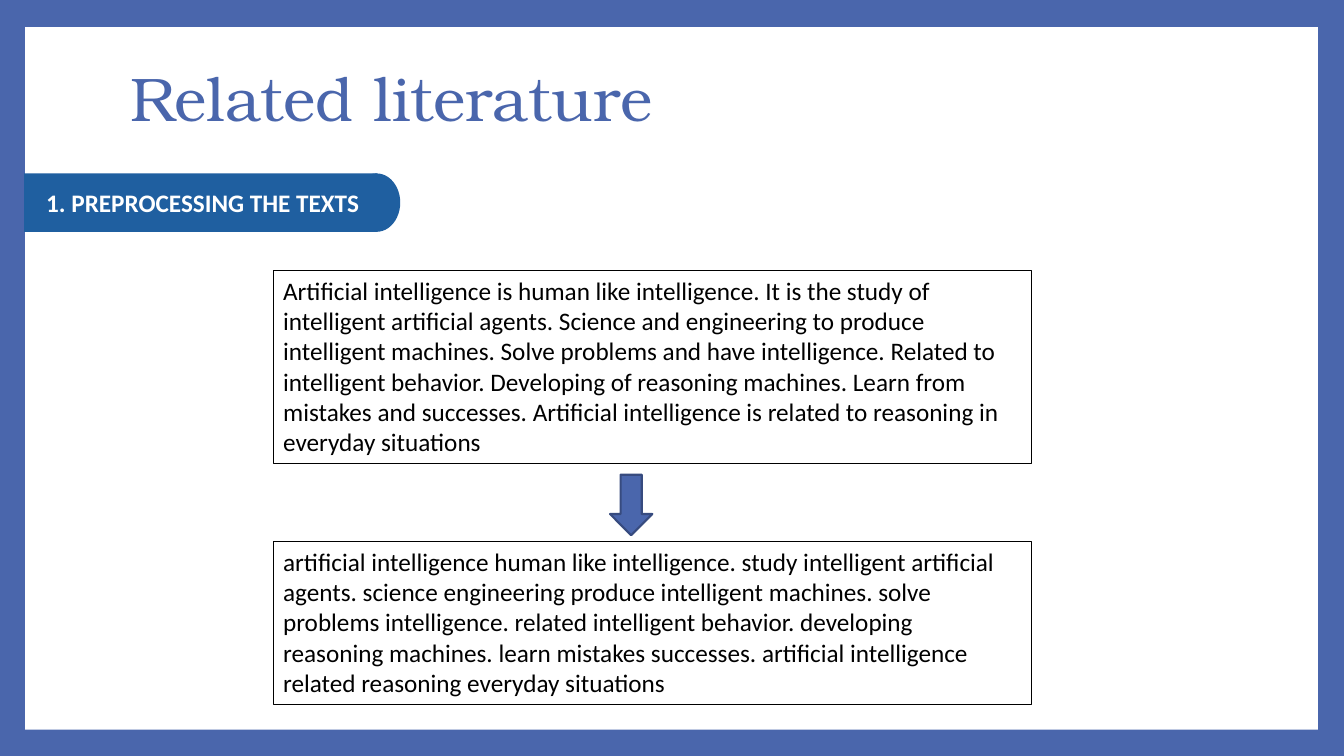
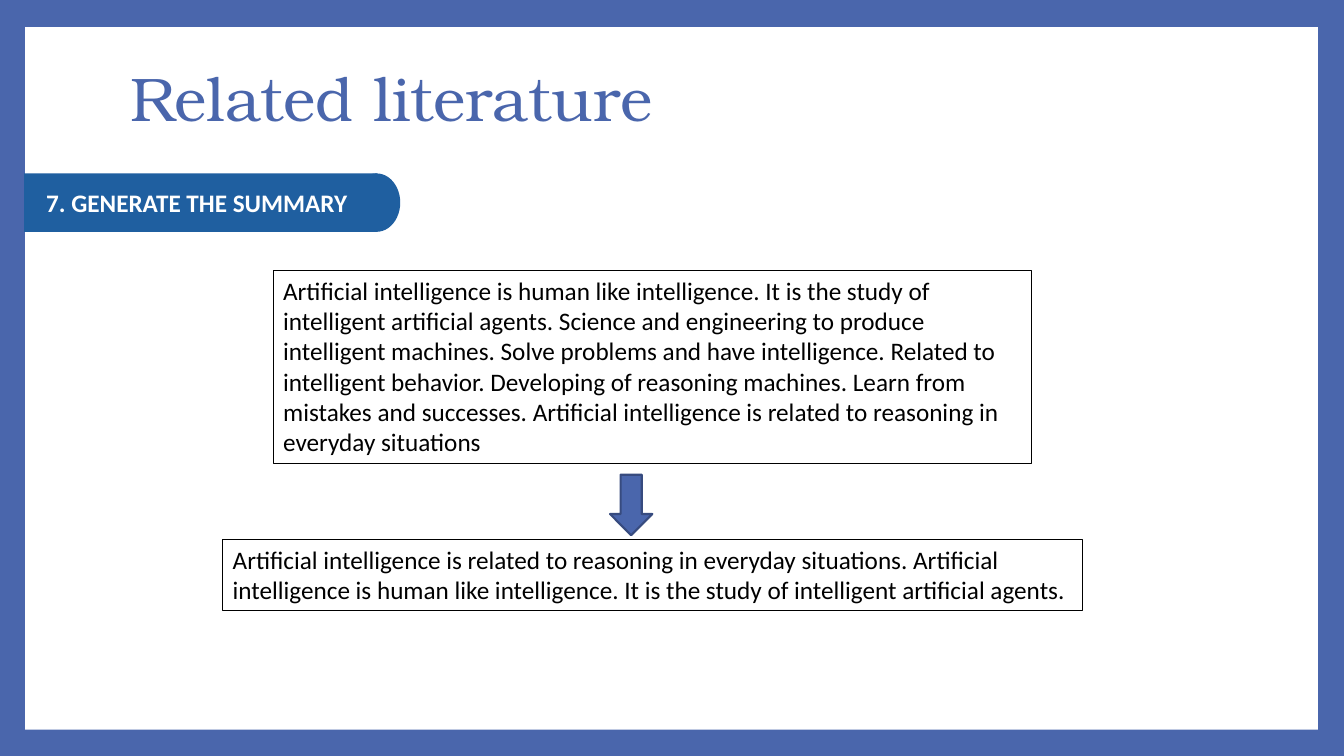
from pptx import Presentation
from pptx.dml.color import RGBColor
from pptx.enum.shapes import MSO_SHAPE
from pptx.enum.text import MSO_ANCHOR, PP_ALIGN
from pptx.util import Emu, Pt

EMU_PER_PX = 9144
SLIDE_WIDTH, SLIDE_HEIGHT = 1333, 750
BLANK_LAYOUT = 6

BLUE = RGBColor(0x4A, 0x66, 0xAC)
DARK_BLUE = RGBColor(0x37, 0x4B, 0x7F)
BANNER_BLUE = RGBColor(0x1F, 0x5F, 0xA0)
WHITE = RGBColor(0xFF, 0xFF, 0xFF)
BLACK = RGBColor(0x00, 0x00, 0x00)

TITLE_FONT = "TeX Gyre Bonum"
BODY_FONT = "Calibri"

RECTANGLE = MSO_SHAPE.RECTANGLE
OVAL = MSO_SHAPE.OVAL
DOWN_ARROW = MSO_SHAPE.DOWN_ARROW
LEFT = PP_ALIGN.LEFT
TOP = MSO_ANCHOR.TOP
MIDDLE = MSO_ANCHOR.MIDDLE

BOX_CENTER = 647
LINE_HEIGHT = 30.3
BOX_PADDING = 10

TITLE = "Related literature"

SOURCE_TEXT = [
    "Artificial intelligence is human like intelligence. It is the study of",
    "intelligent artificial agents. Science and engineering to produce",
    "intelligent machines. Solve problems and have intelligence. Related to",
    "intelligent behavior. Developing of reasoning machines. Learn from",
    "mistakes and successes. Artificial intelligence is related to reasoning in",
    "everyday situations",
]
PREPROCESSED_TEXT = [
    "artificial intelligence human like intelligence. study intelligent artificial",
    "agents. science engineering produce intelligent machines. solve",
    "problems intelligence. related intelligent behavior. developing",
    "reasoning machines. learn mistakes successes. artificial intelligence",
    "related reasoning everyday situations",
]
SUMMARY_TEXT = [
    "Artificial intelligence is related to reasoning in everyday situations. Artificial",
    "intelligence is human like intelligence. It is the study of intelligent artificial agents.",
]


def px(*lengths):
    return [Emu(length * EMU_PER_PX) for length in lengths]


class Deck:
    def __init__(self):
        self.presentation = Presentation()
        width, height = px(SLIDE_WIDTH, SLIDE_HEIGHT)
        self.presentation.slide_width = width
        self.presentation.slide_height = height
        self.slide = None

    def add_slide(self, title, step):
        layout = self.presentation.slide_layouts[BLANK_LAYOUT]
        self.slide = self.presentation.slides.add_slide(layout)
        background = self.slide.background.fill
        background.solid()
        background.fore_color.rgb = BLUE
        self.shape(RECTANGLE, (25, 27, 1282, 697), fill=WHITE)
        self.title(title)
        self.banner(step)

    def shape(self, kind, bounds, fill=None, line=None, line_width=0.75):
        shape = self.slide.shapes.add_shape(kind, *px(*bounds))
        shape.shadow.inherit = False
        if fill is None:
            shape.fill.background()
        else:
            shape.fill.solid()
            shape.fill.fore_color.rgb = fill
        if line is None:
            shape.line.fill.background()
        else:
            shape.line.color.rgb = line
            shape.line.width = Pt(line_width)
        return shape

    def set_text(self, shape, text, color, size=18, font=BODY_FONT, bold=False, anchor=TOP):
        text_frame = shape.text_frame
        text_frame.word_wrap = True
        text_frame.vertical_anchor = anchor
        text_frame.text = text
        for paragraph in text_frame.paragraphs:
            paragraph.alignment = LEFT
            for run in paragraph.runs:
                run.font.name = font
                run.font.size = Pt(size)
                run.font.bold = bold
                run.font.color.rgb = color

    def title(self, text):
        title_box = self.slide.shapes.add_textbox(*px(120, 27, 1080, 148))
        self.set_text(title_box, text, BLUE, size=44, font=TITLE_FONT, anchor=MIDDLE)
        title_box.text_frame.paragraphs[0].line_spacing = 0.9

    def banner(self, text):
        self.shape(RECTANGLE, (24, 172, 350, 58), fill=BANNER_BLUE)
        self.shape(OVAL, (350, 172, 47, 58), fill=BANNER_BLUE)
        label = self.slide.shapes.add_textbox(*px(36, 181, 361, 40))
        self.set_text(label, text, WHITE, bold=True)

    def text_box(self, lines, top, width):
        height = round(BOX_PADDING + len(lines) * LINE_HEIGHT)
        bounds = (BOX_CENTER - width // 2, top, width, height)
        box = self.shape(RECTANGLE, bounds, line=BLACK)
        self.set_text(box, "\n".join(lines), BLACK)

    def arrow(self):
        self.shape(DOWN_ARROW, (605, 471, 42, 60), BLUE, DARK_BLUE, 1.5)

    def save(self):
        self.presentation.save("out.pptx")


def main():
    deck = Deck()
    steps = [
        ("1. PREPROCESSING THE TEXTS", PREPROCESSED_TEXT, 537, 752),
        ("7. GENERATE THE SUMMARY", SUMMARY_TEXT, 535, 853),
    ]
    for step, result, top, width in steps:
        deck.add_slide(TITLE, step)
        deck.text_box(SOURCE_TEXT, 268, 752)
        deck.text_box(result, top, width)
        deck.arrow()
    deck.save()


if __name__ == "__main__":
    main()
